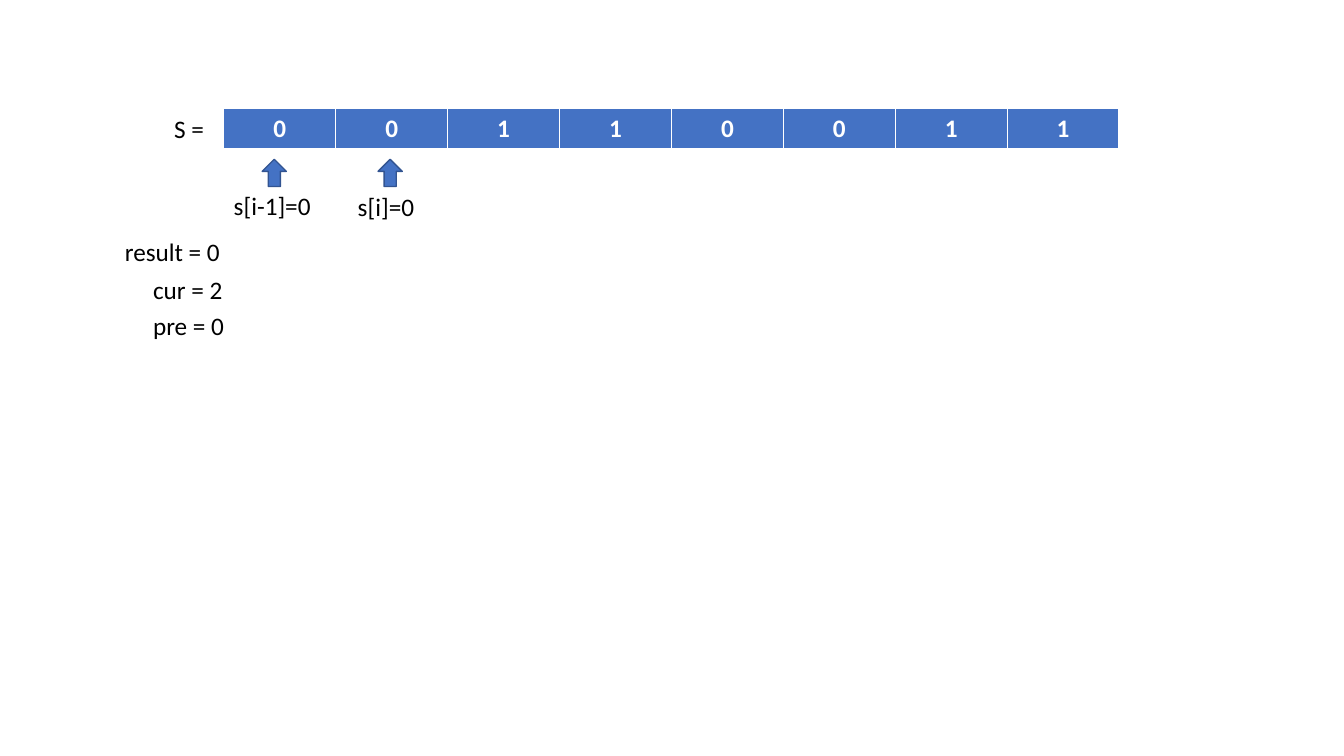
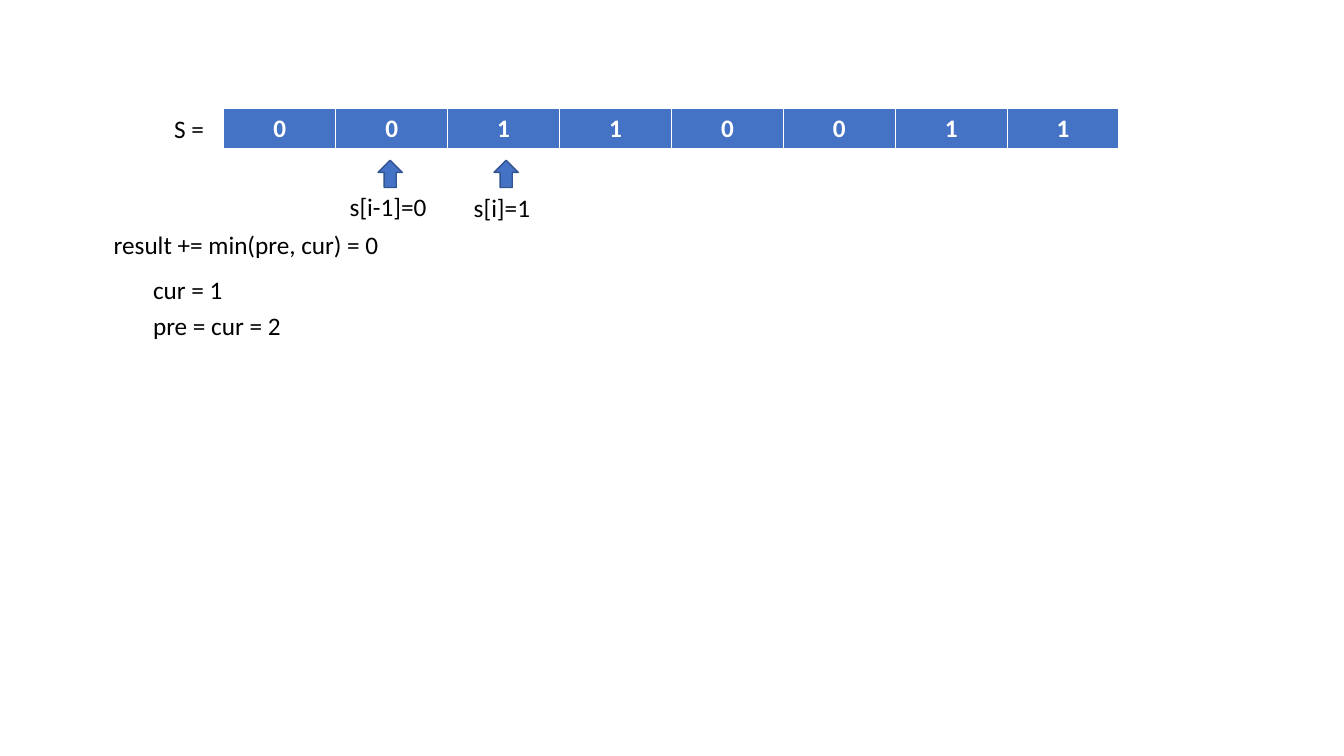
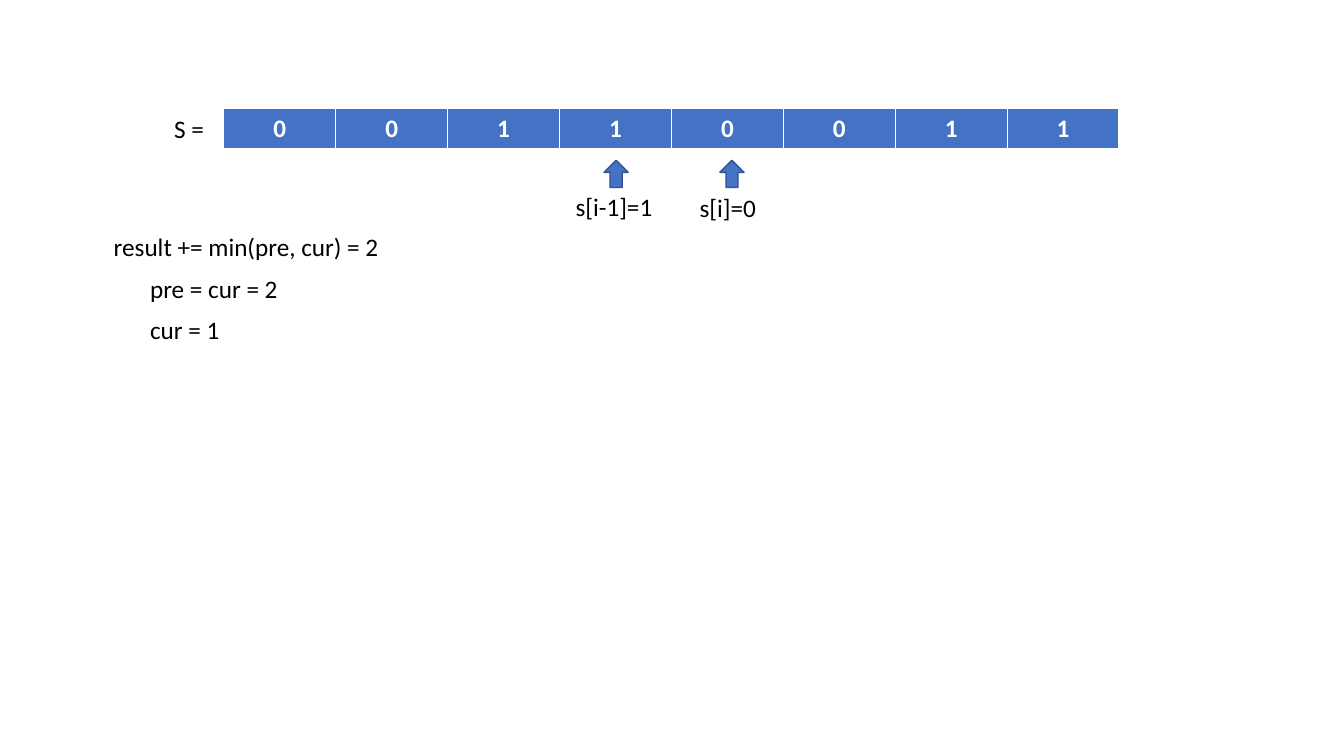
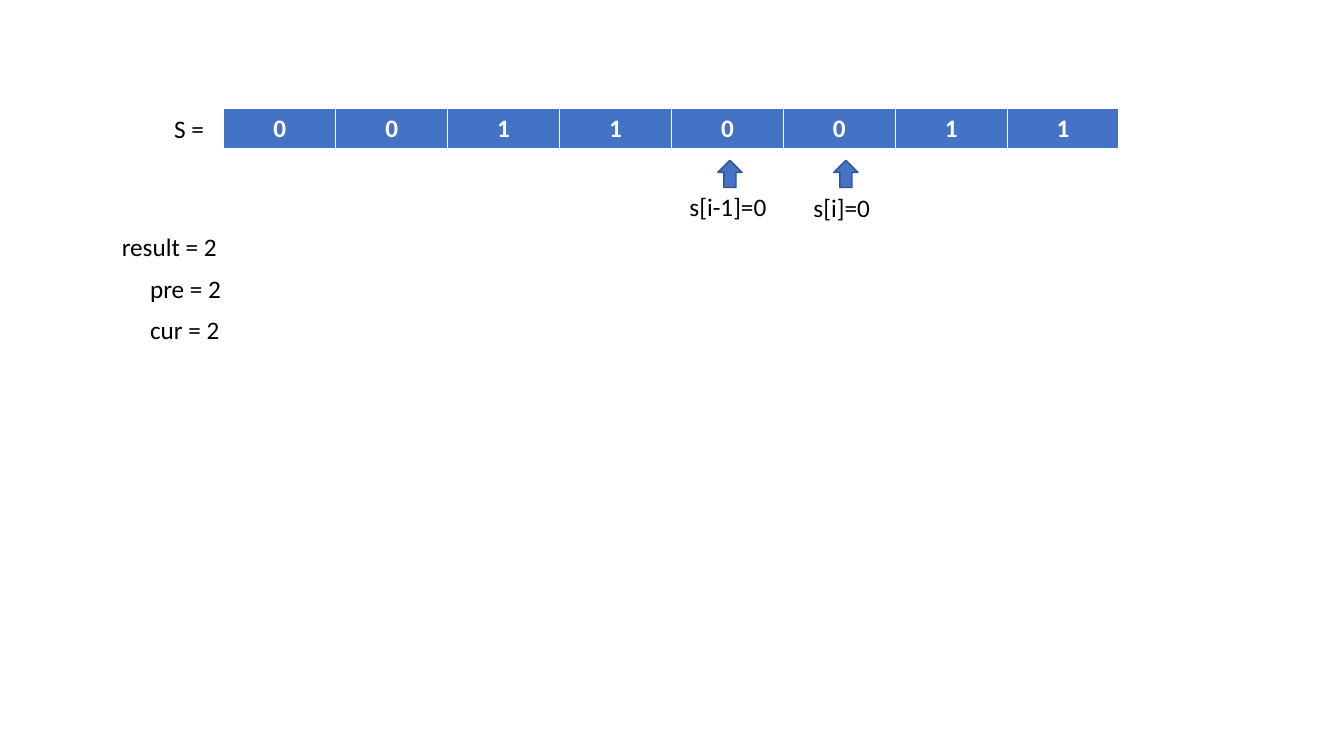
from lxml.etree import SubElement
from pptx import Presentation
from pptx.dml.color import RGBColor
from pptx.enum.shapes import MSO_SHAPE as Shape
from pptx.enum.text import MSO_AUTO_SIZE as AutoSize, PP_ALIGN as Align
from pptx.oxml.ns import qn
from pptx.util import Inches, Pt

BITS = "00110011"
BLUE, DARK_BLUE, WHITE, BLACK = "4472C4", "325491", "FFFFFF", "000000"
TEXT_FORMAT = {"name": "Calibri", "size": Pt(18)}
BORDERS = {"a:lnL": 1, "a:lnR": 1, "a:lnT": 1, "a:lnB": 3}
CELL_WIDTH, CELL_HEIGHT = 1.11, 0.41
POINTER_STEP = 1.15
BLANK_LAYOUT = 6


def color(code):
    """Turn a hex string into a colour."""
    return RGBColor.from_string(code)


def set_borders(cell):
    """Give a cell white borders, thicker at the bottom."""
    properties = cell._tc.get_or_add_tcPr()
    for tag, points in BORDERS.items():
        line = SubElement(properties, qn(tag), w=str(Pt(points)))
        fill = SubElement(line, qn("a:solidFill"))
        SubElement(fill, qn("a:srgbClr"), val=WHITE)


class Deck:
    """Holds the presentation, its style and the current slide."""

    def __init__(self):
        """Start an empty widescreen presentation."""
        self.presentation = Presentation()
        self.presentation.slide_width = Inches(13.33)
        self.presentation.slide_height = Inches(7.5)
        self.slide = None

    def add_slide(self):
        """Add a blank slide with the bit string on it."""
        layout = self.presentation.slide_layouts[BLANK_LAYOUT]
        self.slide = self.presentation.slides.add_slide(layout)
        self.bit_table(2.22, 1.08)
        self.text("S =", 1.63, 1.08, 0.8)

    def fill_text(self, frame, text, code, bold=False):
        """Put one paragraph in the shared text style into a frame."""
        paragraph = frame.paragraphs[0]
        run = paragraph.add_run()
        run.text = text
        for name, value in {**TEXT_FORMAT, "bold": bold}.items():
            setattr(run.font, name, value)
        run.font.color.rgb = color(code)
        return paragraph

    def bit_table(self, left, top):
        """Draw the bits as a one-row table."""
        table = self.slide.shapes.add_table(
            1, len(BITS), Inches(left), Inches(top),
            Inches(CELL_WIDTH * len(BITS)), Inches(CELL_HEIGHT)).table
        table.first_row = table.horz_banding = False
        for column, bit in enumerate(BITS):
            table.columns[column].width = Inches(CELL_WIDTH)
            cell = table.cell(0, column)
            set_borders(cell)
            cell.fill.solid()
            cell.fill.fore_color.rgb = color(BLUE)
            paragraph = self.fill_text(cell.text_frame, bit, WHITE, bold=True)
            paragraph.alignment = Align.CENTER

    def text(self, text, left, top, width=1.9, shapes=None):
        """Add a line of text to the slide or to a group's shapes."""
        shapes = shapes or self.slide.shapes
        box = shapes.add_textbox(Inches(left), Inches(top), Inches(width), Inches(0.4))
        box.text_frame.word_wrap = True
        box.text_frame.auto_size = AutoSize.SHAPE_TO_FIT_TEXT
        self.fill_text(box.text_frame, text, BLACK)

    def arrow(self, left, top, shapes):
        """Add an arrow that points up at a cell."""
        arrow = shapes.add_shape(Shape.DOWN_ARROW, Inches(left), Inches(top),
                                 Inches(0.24), Inches(0.27))
        arrow.rotation = 180
        arrow.shadow.inherit = False
        arrow.fill.solid()
        arrow.fill.fore_color.rgb = color(BLUE)
        arrow.line.color.rgb = color(DARK_BLUE)
        arrow.line.width = Pt(1)

    def pointers(self, index, left, top):
        """Mark the bits before and at the index with labelled arrows."""
        shapes = self.slide.shapes.add_group_shape().shapes
        labels = [(f"s[i-1]={BITS[index - 1]}", 0.38, 0.26),
                  (f"s[i]={BITS[index]}", 0.3, 0.27)]
        for step, (label, shift, drop) in enumerate(labels):
            arrow_left = left + step * POINTER_STEP
            self.arrow(arrow_left, top, shapes)
            self.text(label, arrow_left - shift, top + drop, shapes=shapes)


# Each step: index i, left and top of the first arrow, (text, left, top) of variables
STEPS = [
    (1, 2.6, 1.58, [("pre = 0", 1.42, 3.03), ("cur = 2", 1.42, 2.67),
                    ("result = 0", 1.14, 2.3)]),
    (2, 3.75, 1.59, [("pre = cur = 2", 1.42, 3.03), ("cur = 1", 1.42, 2.67),
                     ("result += min(pre, cur) = 0", 1.03, 2.23)]),
    (4, 5.99, 1.59, [("pre = cur = 2", 1.39, 2.66), ("cur = 1", 1.39, 3.07),
                     ("result += min(pre, cur) = 2", 1.03, 2.25)]),
    (5, 7.12, 1.59, [("pre = 2", 1.39, 2.66), ("cur = 2", 1.39, 3.07),
                     ("result = 2", 1.11, 2.25)]),
]

deck = Deck()
for index, arrow_left, arrow_top, variables in STEPS:
    deck.add_slide()
    for text, left, top in variables:
        deck.text(text, left, top, 3.74 if text.startswith("result") else 1.9)
    deck.pointers(index, arrow_left, arrow_top)
deck.presentation.save("out.pptx")
